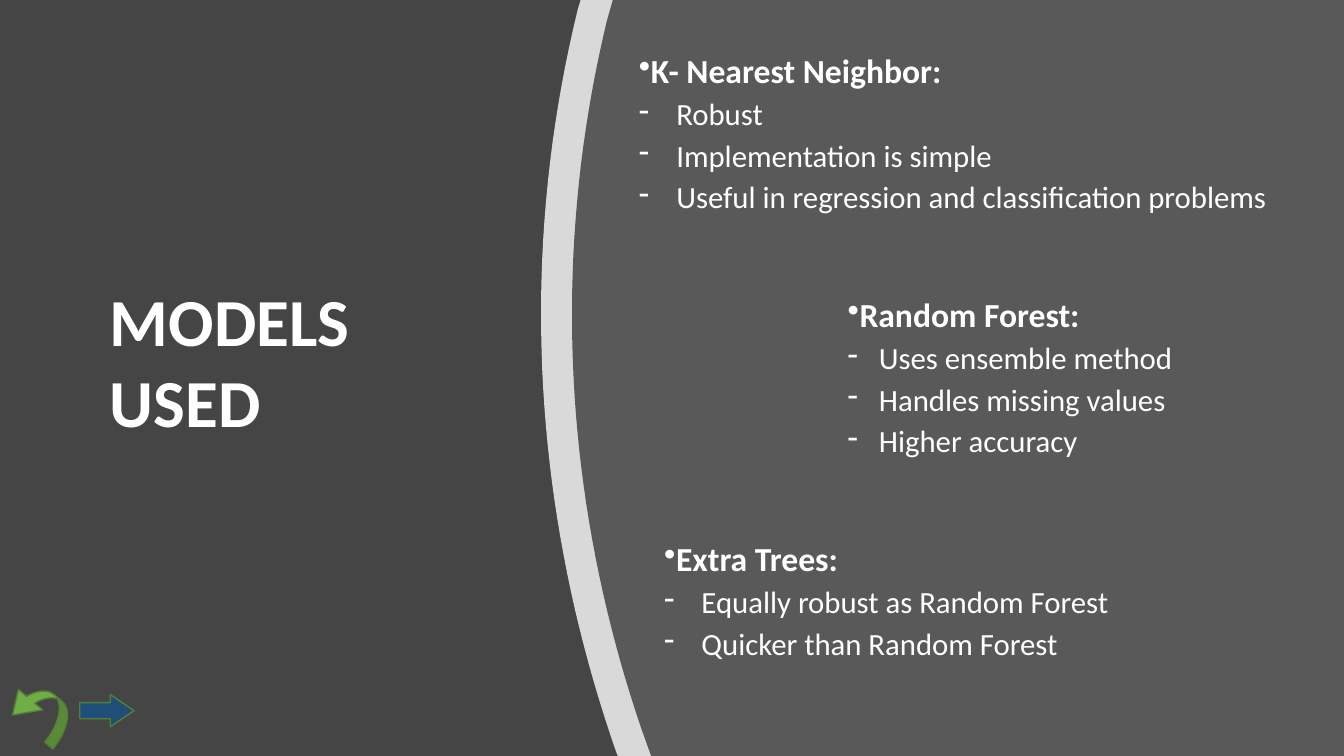
from lxml import etree
from pptx import Presentation
from pptx import util as u
from pptx.dml.color import RGBColor
from pptx.enum import shapes, text
from pptx.oxml import ns

WHITE = "FFFFFF"


def color(hex_value):
    return RGBColor.from_string(hex_value)


def curve(start, control_1, control_2, end, steps=40):
    """Points along a cubic Bezier curve."""
    points = []
    for step in range(steps + 1):
        t = step / steps
        weights = ((1 - t) ** 3, 3 * t * (1 - t) ** 2, 3 * t * t * (1 - t), t ** 3)
        controls = (start, control_1, control_2, end)
        points.append(tuple(sum(w * c[axis] for w, c in zip(weights, controls))
                            for axis in (0, 1)))
    return points


class SlideBuilder:
    """Holds the style and the slide; lengths are percentages of its size."""
    font = "Calibri"
    title_size, heading_size, item_size = 48, 24, 22

    def __init__(self, presentation, background):
        self.width = presentation.slide_width
        self.height = presentation.slide_height
        self.slide = presentation.slides.add_slide(presentation.slide_layouts[5])
        self.slide.background.fill.solid()
        self.slide.background.fill.fore_color.rgb = color(background)

    def x(self, percent):
        return u.Emu(round(self.width * percent / 100))

    def y(self, percent):
        return u.Emu(round(self.height * percent / 100))

    def box(self, left, top, width, height):
        return self.x(left), self.y(top), self.x(width), self.y(height)

    def add_words(self, paragraph, words, size, bold=False):
        paragraph.alignment = text.PP_ALIGN.LEFT
        paragraph.line_spacing = 0.9
        paragraph.space_before = u.Pt(0)
        paragraph.space_after = u.Pt(6)
        run = paragraph.add_run()
        run.text = words
        run.font.name, run.font.size, run.font.bold = self.font, u.Pt(size), bold
        run.font.color.rgb = color(WHITE)

    def bullet(self, paragraph, character, indent=0):
        properties = paragraph._p.get_or_add_pPr()
        properties.set("marL", str(self.x(indent)))
        properties.set("indent", str(-self.x(indent)))
        etree.SubElement(properties, ns.qn("a:buChar")).set("char", character)

    def title(self, lines, place):
        title = self.slide.shapes.title
        title.left, title.top, title.width, title.height = self.box(*place)
        frame = title.text_frame
        frame.word_wrap = True
        frame.auto_size = text.MSO_AUTO_SIZE.NONE
        frame.vertical_anchor = text.MSO_ANCHOR.MIDDLE
        for number, line in enumerate(lines):
            paragraph = frame.add_paragraph() if number else frame.paragraphs[0]
            self.add_words(paragraph, line, self.title_size, bold=True)

    def model(self, heading, items, place, indent, top_inset=0.67):
        frame = self.slide.shapes.add_textbox(*self.box(*place)).text_frame
        frame.word_wrap = True
        frame.margin_top = self.y(top_inset)
        self.add_words(frame.paragraphs[0], heading, self.heading_size, bold=True)
        self.bullet(frame.paragraphs[0], "•")
        for item in items:
            paragraph = frame.add_paragraph()
            self.add_words(paragraph, item, self.item_size)
            self.bullet(paragraph, "-", indent)

    def outline(self, points, fill, opacity=100):
        (first, *rest) = [(self.x(px), self.y(py)) for px, py in points]
        builder = self.slide.shapes.build_freeform(*first)
        builder.add_line_segments(rest, close=True)
        shape = builder.convert_to_shape()
        shape.shadow.inherit = False
        shape.fill.solid()
        shape.fill.fore_color.rgb = color(fill)
        shape.line.fill.background()
        if opacity < 100:
            fill_color = shape._element.spPr.find(".//" + ns.qn("a:srgbClr"))
            etree.SubElement(fill_color, ns.qn("a:alpha")).set("val", str(opacity * 1000))

    def arrow(self, kind, place, fill, adjustments, rotation=0, flip=False):
        shape = self.slide.shapes.add_shape(kind, *self.box(*place))
        shape.shadow.inherit = False
        shape.fill.solid()
        shape.fill.fore_color.rgb = color(fill)
        shape.line.color.rgb = color("538035")
        shape.line.width = u.Pt(1)
        for number, value in enumerate(adjustments):
            shape.adjustments[number] = value
        shape.rotation = rotation
        if flip:
            shape._element.spPr.xfrm.set("flipH", "1")


def main():
    presentation = Presentation()
    presentation.slide_width = u.Inches(13.33)
    presentation.slide_height = u.Inches(7.5)
    builder = SlideBuilder(presentation, "454545")

    builder.title(["MODELS", "USED"], (7.43, 34.4, 21.38, 27.87))

    # Curved band and the panel lying over it
    band_edge = curve((45.9, 99.73), (39.75, 68.53), (38.4, 34.67), (42.98, 1.33))
    panel_edge = curve((47.7, 96.27), (42, 66.53), (40.88, 34.4), (45.15, 2.8))
    right_side = [(100, 0), (100, 100)]
    builder.outline([(43.2, 0), *right_side, (45.98, 100), *band_edge], WHITE, opacity=80)
    builder.outline([(45.6, 0), *right_side, (48.45, 100), *panel_edge], "595959")

    # Models
    builder.model("K- Nearest Neighbor:",
                  ["Robust", "Implementation is simple",
                   "Useful in regression and classification problems"],
                  (46.8, 4.8, 51.53, 32), indent=2.78, top_inset=2.4)
    builder.model("Random Forest:",
                  ["Uses ensemble method", "Handles missing values", "Higher accuracy"],
                  (62.33, 38.8, 32.4, 25.47), indent=2.33)
    builder.model("Extra Trees:",
                  ["Equally robust as Random Forest", "Quicker than Random Forest"],
                  (48.68, 71.07, 41.78, 20.27), indent=2.78)

    # Back and forward arrows
    builder.arrow(shapes.MSO_SHAPE.CURVED_DOWN_ARROW, (0.45, 91.2, 5.1, 5.6),
                  "70AD47", (0.25, 0.75, 0.55), rotation=40.1, flip=True)
    builder.arrow(shapes.MSO_SHAPE.RIGHT_ARROW, (5.93, 91.87, 4.05, 4.27),
                  "1F4E79", (0.5, 0.74))

    presentation.save("out.pptx")


if __name__ == "__main__":
    main()
